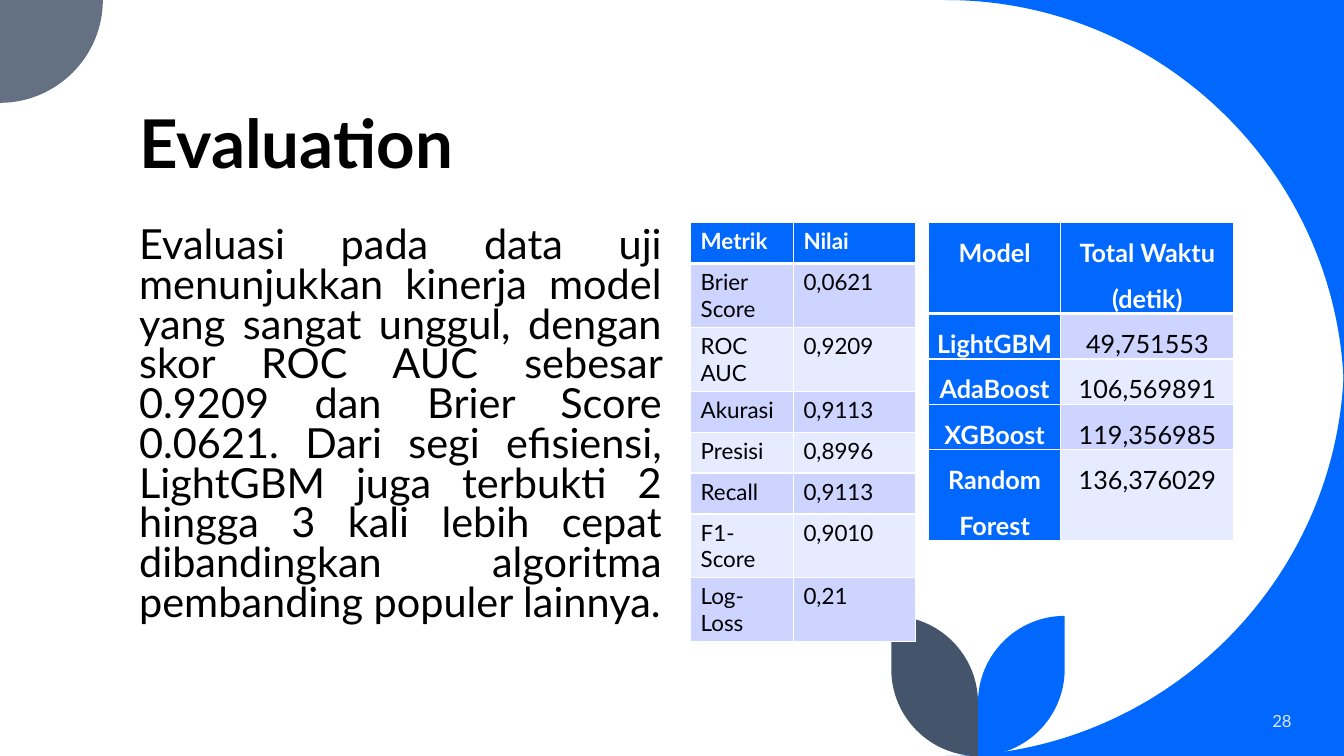
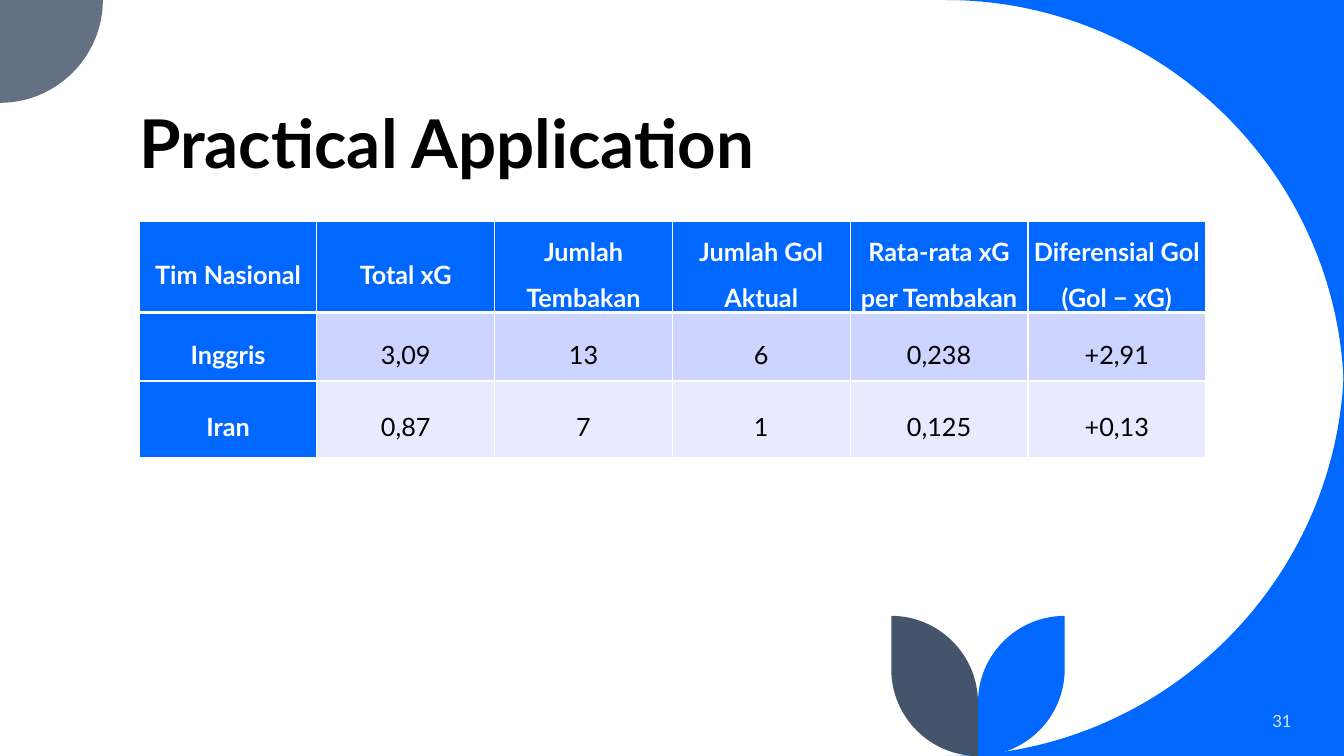
from dataclasses import dataclass

from lxml import etree
from pptx import Presentation
from pptx.dml.color import RGBColor
from pptx.enum.text import MSO_ANCHOR, MSO_AUTO_SIZE, PP_ALIGN
from pptx.oxml.ns import qn
from pptx.util import Inches, Pt

LEFT, MID, RIGHT, FULL = PP_ALIGN.LEFT, PP_ALIGN.CENTER, PP_ALIGN.RIGHT, PP_ALIGN.JUSTIFY
TOP, CENTRE, BASE = MSO_ANCHOR.TOP, MSO_ANCHOR.MIDDLE, MSO_ANCHOR.BOTTOM
FIXED = MSO_AUTO_SIZE.NONE
WIDE, HIGH = 13.33, 7.5
EDGE, ROW = 1.28, 2.21
CONTENT, TITLE_ONLY = 1, 5
BEND = 0.55


@dataclass(frozen=True)
class Theme:
    font: str = "Lato"
    blue: str = "0068FF"
    slate: str = "44546A"
    grey: str = "637183"
    white: str = "FFFFFF"
    ink: str = "000000"
    pale: str = "DAE5EF"
    bands: tuple = ("CCD4FF", "E7EBFF")
    title: float = 48
    body: float = 29.6
    large: float = 18
    small: float = 16
    page: float = 12


THEME = Theme()


def rgb(code):
    return RGBColor.from_string(code)


def write(frame, text, size, color, bold=False, align=LEFT, anchor=TOP, lines=1.0):
    frame.text = text
    frame.word_wrap = True
    frame.vertical_anchor = anchor
    para = frame.paragraphs[0]
    para.alignment, para.line_spacing = align, lines
    para.space_before = Pt(0)
    font = para.runs[0].font
    font.name, font.size, font.bold = THEME.font, Pt(size), bold
    font.color.rgb = rgb(color)


def place(shape, left, top, wide, high):
    shape.left, shape.top = Inches(left), Inches(top)
    shape.width, shape.height = Inches(wide), Inches(high)


def arc(begin, knee, end):
    """Quarter circle as a Bezier step; the knee is where its end tangents meet."""
    pulls = [
        tuple(a + BEND * (k - a) for a, k in zip(spot, knee)) for spot in (begin, end)
    ]
    return [*pulls, end]


def trace(shapes, begin, steps, color):
    """Filled outline; a step of one point is a line, of three a curve."""
    spots = [(Inches(x), Inches(y)) for step in steps for x, y in step]
    pen = shapes.build_freeform(Inches(begin[0]), Inches(begin[1]), scale=1.0)
    pen.add_line_segments(spots, close=True)
    form = pen.convert_to_shape()
    lines = iter(list(form.element.iter(qn("a:lnTo"))))
    for step in steps:
        group = [next(lines) for _ in step]
        if len(group) == 3:
            curve = etree.Element(qn("a:cubicBezTo"))
            group[0].addprevious(curve)
            for line in group:
                curve.append(line[0])
                line.getparent().remove(line)
    form.shadow.inherit = False
    form.fill.solid()
    form.fill.fore_color.rgb = rgb(color)
    form.line.fill.background()
    return form


def corner(x, y, reach, rise):
    """Start and steps of a corner patch cut off by an arc."""
    side, end = (x + reach, y), (x, y + rise)
    knee = (x + reach, y + rise) if reach > 0 else (x, y)
    return side, [arc(side, knee, end), [(x, y)]]


def leaf(stem, side):
    """Start and steps of one leaf, right (1) or left (-1) of the stem."""
    wide, high = 0.86, 1.39
    top, tip = HIGH - high, stem + side * wide
    low, up = (tip, HIGH - wide), (stem, top + wide)
    foot, head = (stem, HIGH), (tip, top)
    return head, [[low], arc(low, (tip, HIGH), foot), [up], arc(up, (stem, top), head)]


def decorate(master, slide):
    """Draw the shared shapes on a slide and move them to the master."""
    big, small, stem = 3.95, 1.02, 9.7
    parts = [
        (*swoop(0, big), THEME.blue),
        (*swoop(HIGH, -big), THEME.blue),
        (*corner(0, 0, small, small), THEME.grey),
        (*leaf(stem, 1), THEME.blue),
        (*leaf(stem, -1), THEME.slate),
    ]
    tree = master.element.cSld.spTree
    for num, (begin, steps, color) in enumerate(parts):
        part = trace(slide.shapes, begin, steps, color).element
        part.nvSpPr.cNvPr.set("id", str(100 + num))
        tree.insert(2 + num, part)


def swoop(y, rise):
    """Start and steps of the patch in a right-hand corner of the slide."""
    return corner(WIDE, y, -abs(rise), rise)


def start(deck, layout, title, page):
    slide = deck.slides.add_slide(deck.slide_layouts[layout])
    head = slide.shapes.title
    place(head, EDGE, 0.42, 10.69, 1.45)
    write(head.text_frame, title, THEME.title, THEME.ink, True, anchor=BASE, lines=0.9)
    head.text_frame.auto_size = FIXED
    box = slide.shapes.add_textbox(Inches(11.1), Inches(6.95), Inches(1.81), Inches(0.4))
    write(box.text_frame, page, THEME.page, THEME.pale, align=RIGHT, anchor=CENTRE)
    return slide


def prose(slide, text, *box):
    body = slide.placeholders[1]
    place(body, *box)
    write(body.text_frame, text, THEME.body, THEME.ink, align=FULL, lines=0.8)
    body.text_frame.auto_size = FIXED
    props = body.text_frame.paragraphs[0]._p.get_or_add_pPr()
    props.set("marL", "0")
    props.set("indent", "0")
    etree.SubElement(props, qn("a:buNone"))


def rule(cell, widths):
    """Draw the white left, right, top and bottom borders of a cell."""
    props = cell._tc.get_or_add_tcPr()
    for num, (side, width) in enumerate(zip("LRTB", widths)):
        line = etree.Element(qn("a:ln" + side), w=str(Pt(width)))
        fill = etree.SubElement(line, qn("a:solidFill"))
        etree.SubElement(fill, qn("a:srgbClr"), val=THEME.white)
        props.insert(num, line)


def grid(slide, left, top, cols, rows, data, size, pad=(0.1, 0.05), side=False, **style):
    """Table with a blue header row, and a blue first column if side is set."""
    frame = slide.shapes.add_table(
        len(rows), len(cols), Inches(left), Inches(top), Inches(sum(cols)), Inches(sum(rows))
    )
    table = frame.table
    for col, wide in zip(table.columns, cols):
        col.width = Inches(wide)
    for r, (row, high) in enumerate(zip(table.rows, rows)):
        row.height = Inches(high)
        for c, cell in enumerate(row.cells):
            head = r == 0 or (side and c == 0)
            cell.margin_left = cell.margin_right = Inches(pad[0])
            cell.margin_top = cell.margin_bottom = Inches(pad[1])
            ink = THEME.white if head else THEME.ink
            write(cell.text_frame, data[r][c], size, ink, head, **style)
            cell.vertical_anchor = style.get("anchor", TOP)
            cell.fill.solid()
            cell.fill.fore_color.rgb = rgb(THEME.blue if head else THEME.bands[(r - 1) % 2])
            rule(cell, (1, 1, 3 if r == 1 else 1, 3 if r == 0 else 1))


SCORES = [
    ("Metrik", "Nilai"),
    ("Brier Score", "0,0621"),
    ("ROC AUC", "0,9209"),
    ("Akurasi", "0,9113"),
    ("Presisi", "0,8996"),
    ("Recall", "0,9113"),
    ("F1-Score", "0,9010"),
    ("Log-Loss", "0,21"),
]
TIMES = [
    ("Model", "Total Waktu (detik)"),
    ("LightGBM", "49,751553"),
    ("AdaBoost", "106,569891"),
    ("XGBoost", "119,356985"),
    ("Random Forest", "136,376029"),
]
TEAMS = [
    ("Tim Nasional", "Total xG", "Jumlah Tembakan", "Jumlah Gol Aktual",
     "Rata-rata xG per Tembakan", "Diferensial Gol (Gol − xG)"),
    ("Inggris", "3,09", "13", "6", "0,238", "+2,91"),
    ("Iran", "0,87", "7", "1", "0,125", "+0,13"),
]
SUMMARY = (
    "Evaluasi pada data uji menunjukkan kinerja model yang sangat unggul, dengan skor "
    "ROC AUC sebesar 0.9209 dan Brier Score 0.0621. Dari segi efisiensi, LightGBM juga "
    "terbukti 2 hingga 3 kali lebih cepat dibandingkan algoritma pembanding populer lainnya."
)


def evaluate(deck):
    slide = start(deck, CONTENT, "Evaluation", "28")
    prose(slide, SUMMARY, EDGE, ROW, 5.39, 4.87)
    grid(slide, 6.85, ROW, [1.02, 1.21], [29.2 / 72] * 8, SCORES, THEME.small)
    grid(slide, 9.21, ROW, [1.31, 1.72], [0.38] * 4 + [0.8], TIMES, THEME.large,
         pad=(0.07, 0), side=True, align=MID, lines=1.5)
    return slide


def apply(deck):
    slide = start(deck, TITLE_ONLY, "Practical Application", "31")
    grid(slide, EDGE + 0.1, 2.2, [10.58 / 6] * 6, [0.68, 0.68, 0.76], TEAMS, THEME.large,
         pad=(0.03, 0), side=True, align=MID, anchor=CENTRE, lines=1.5)


def main():
    deck = Presentation()
    deck.slide_width, deck.slide_height = Inches(WIDE), Inches(HIGH)
    decorate(deck.slide_master, evaluate(deck))
    apply(deck)
    deck.save("out.pptx")


if __name__ == "__main__":
    main()
